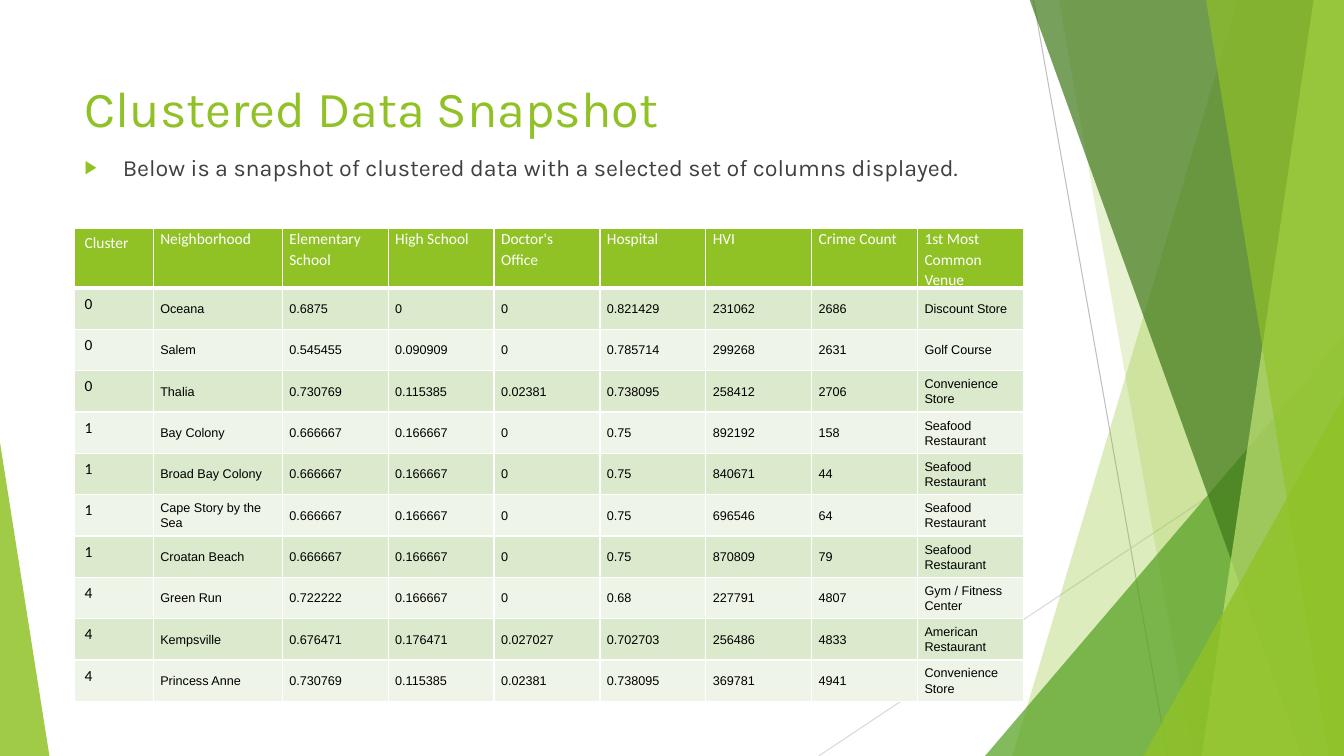
from dataclasses import dataclass

from lxml import etree
from pptx import Presentation
from pptx import util as u
from pptx.dml.color import RGBColor
from pptx.enum import shapes, text
from pptx.oxml import ns


@dataclass(frozen=True)
class Theme:
    green: str = "90C226"
    mid_green: str = "54A021"
    dark_green: str = "3F7819"
    pale_green: str = "C0E474"
    white: str = "FFFFFF"
    black: str = "000000"
    body_grey: str = "404040"
    line_grey: str = "BFBFBF"
    light_line: str = "D9D9D9"
    bands: tuple = ("DBE9CD", "EEF4E8")
    heading_font: str = "Karla"
    label_font: str = "Calibri"
    data_font: str = "Arial"
    title_size: float = 36
    body_size: float = 16.6
    label_size: float = 11
    data_size: float = 9


HEADERS = ["Cluster", "Neighborhood", "Elementary School", "High School", "Doctor's Office",
           "Hospital", "HVI", "Crime Count", "1st Most Common Venue"]
ROWS = [
    ["0", "Oceana", "0.6875", "0", "0", "0.821429", "231062", "2686", "Discount Store"],
    ["0", "Salem", "0.545455", "0.090909", "0", "0.785714", "299268", "2631", "Golf Course"],
    ["0", "Thalia", "0.730769", "0.115385", "0.02381", "0.738095", "258412", "2706",
     "Convenience Store"],
    ["1", "Bay Colony", "0.666667", "0.166667", "0", "0.75", "892192", "158",
     "Seafood Restaurant"],
    ["1", "Broad Bay Colony", "0.666667", "0.166667", "0", "0.75", "840671", "44",
     "Seafood Restaurant"],
    ["1", "Cape Story by the Sea", "0.666667", "0.166667", "0", "0.75", "696546", "64",
     "Seafood Restaurant"],
    ["1", "Croatan Beach", "0.666667", "0.166667", "0", "0.75", "870809", "79",
     "Seafood Restaurant"],
    ["4", "Green Run", "0.722222", "0.166667", "0", "0.68", "227791", "4807",
     "Gym / Fitness Center"],
    ["4", "Kempsville", "0.676471", "0.176471", "0.027027", "0.702703", "256486", "4833",
     "American Restaurant"],
    ["4", "Princess Anne", "0.730769", "0.115385", "0.02381", "0.738095", "369781", "4941",
     "Convenience Store"],
]
COLUMN_WIDTHS = [0.78, 1.28] + [1.05] * 7
HEADER_HEIGHT, ROW_HEIGHT = 0.48, 0.41
LEFT, CONTENT_WIDTH = 0.74, 9.4
WIDTH, HEIGHT, FACET_TOP = 13.33, 7.5, -0.01


def add_xml(parent, tag, **attributes):
    return etree.SubElement(parent, ns.qn(tag), attributes)


def write(para, content, *, font, size, color, line_spacing=None):
    span = para.add_run()
    span.text = content
    span.font.name = font
    span.font.size = u.Pt(size)
    span.font.bold = False
    span.font.color.rgb = RGBColor.from_string(color)
    if line_spacing:
        para.line_spacing = line_spacing


class SlideBuilder:
    def __init__(self, page, theme):
        self.page, self.theme = page, theme

    def line(self, start, end, color):
        ends = [u.Inches(value) for value in (*start, *end)]
        connector = self.page.shapes.add_connector(shapes.MSO_CONNECTOR.STRAIGHT, *ends)
        connector.line.color.rgb = RGBColor.from_string(color)
        connector.line.width = u.Pt(0.75)
        add_xml(connector._element.spPr, "a:effectLst")

    def paint(self, shape, color, opacity):
        """Give a borderless fill with opacity in percent."""
        shape.shadow.inherit = False
        shape.line.fill.background()
        shape.fill.solid()
        shape.fill.fore_color.rgb = RGBColor.from_string(color)
        swatch = shape._element.spPr.find(".//" + ns.qn("a:srgbClr"))
        add_xml(swatch, "a:alpha", val=str(opacity * 1000))

    def facet(self, top_left, bottom_left, color, opacity):
        """Fill from a slanted left edge to the right side of the slide."""
        corners = [(top_left, FACET_TOP), (WIDTH, FACET_TOP), (WIDTH, HEIGHT),
                   (bottom_left, HEIGHT)]
        points = [(u.Inches(x), u.Inches(y)) for x, y in corners]
        builder = self.page.shapes.build_freeform(*points[0])
        builder.add_line_segments(points[1:], close=True)
        self.paint(builder.convert_to_shape(), color, opacity)

    def triangle(self, left, top, width, apex, color, opacity):
        """Stand a triangle on the slide's bottom edge, apex from 0 (left) to 1 (right)."""
        shape = self.page.shapes.add_shape(
            shapes.MSO_SHAPE.ISOSCELES_TRIANGLE, u.Inches(left), u.Inches(top),
            u.Inches(width), u.Inches(HEIGHT - top))
        shape.adjustments[0] = apex
        self.paint(shape, color, opacity)

    def text_box(self, content, top, height, anchor, **style):
        box = self.page.shapes.add_textbox(
            u.Inches(LEFT), u.Inches(top), u.Inches(CONTENT_WIDTH), u.Inches(height))
        frame = box.text_frame
        frame.word_wrap = True
        frame.vertical_anchor = anchor
        para = frame.paragraphs[0]
        write(para, content, font=self.theme.heading_font, **style)
        return para

    def bullet(self, para):
        para.space_before = u.Pt(10)
        props = para._p.get_or_add_pPr()
        props.set("marL", str(u.Inches(0.38)))
        props.set("indent", str(-u.Inches(0.38)))
        add_xml(add_xml(props, "a:buClr"), "a:srgbClr", val=self.theme.green)
        add_xml(props, "a:buSzPct", val="80000")
        add_xml(props, "a:buFont", typeface=self.theme.data_font)
        add_xml(props, "a:buChar", char="▶")

    def borders(self, cell, is_header):
        widths = {"L": 1, "R": 1}
        if is_header:
            widths["T"] = 1
        widths["B"] = 3 if is_header else 1
        props = cell._tc.get_or_add_tcPr()
        for side, width in widths.items():
            edge = add_xml(props, f"a:ln{side}", w=str(u.Pt(width)))
            add_xml(add_xml(edge, "a:solidFill"), "a:srgbClr", val=self.theme.white)

    def cell(self, cell, content, row, column):
        theme, is_header = self.theme, row == 0
        self.borders(cell, is_header)
        fill = theme.green if is_header else theme.bands[(row - 1) % 2]
        cell.fill.solid()
        cell.fill.fore_color.rgb = RGBColor.from_string(fill)
        if column:
            cell.margin_left = cell.margin_right = u.Inches(0.07)
            cell.margin_top = cell.margin_bottom = 0
            if not is_header or column == len(HEADERS) - 1:
                cell.vertical_anchor = text.MSO_ANCHOR.MIDDLE
        is_label = is_header or column == 0
        write(cell.text_frame.paragraphs[0], content,
              font=theme.label_font if is_label else theme.data_font,
              size=theme.label_size if is_label else theme.data_size,
              color=theme.white if is_header else theme.black,
              line_spacing=1.07 if row or column else None)

    def table(self, top, height):
        records = [HEADERS, *ROWS]
        frame = self.page.shapes.add_table(
            len(records), len(HEADERS), u.Inches(LEFT), u.Inches(top),
            u.Inches(CONTENT_WIDTH), u.Inches(height))
        table = frame.table
        table.horz_banding = False
        for column, width in zip(table.columns, COLUMN_WIDTHS):
            column.width = u.Inches(width)
        for r, record in enumerate(records):
            table.rows[r].height = u.Inches(ROW_HEIGHT if r else HEADER_HEIGHT)
            for c, content in enumerate(record):
                self.cell(table.cell(r, c), content, r, c)


def main():
    theme = Theme()
    deck = Presentation()
    deck.slide_width, deck.slide_height = u.Inches(WIDTH), u.Inches(HEIGHT)
    page = SlideBuilder(deck.slides.add_slide(deck.slide_layouts[6]), theme)

    page.line((10.25, 0), (11.58, HEIGHT), theme.line_grey)
    page.line((WIDTH, 4.03), (8.12, HEIGHT), theme.light_line)
    page.facet(12.28, 10.04, theme.green, 30)
    page.facet(10.5, 11.83, theme.green, 20)
    page.triangle(9.77, 3.33, 3.56, 1, theme.mid_green, 72)
    page.facet(10.21, 12.91, theme.dark_green, 70)
    page.facet(13.03, 11.92, theme.pale_green, 70)
    page.facet(11.96, 13.18, theme.green, 65)
    page.triangle(11.34, 3.93, 1.99, 1, theme.green, 80)
    page.triangle(0, 4.39, 0.49, 0, theme.green, 85)

    page.text_box("Clustered Data Snapshot", 0.67, 0.8, text.MSO_ANCHOR.MIDDLE,
                  size=theme.title_size, color=theme.green)
    page.table(2.27, 4.67)
    summary = page.text_box(
        "Below is a snapshot of clustered data with a selected set of columns displayed.",
        1.47, 0.6, text.MSO_ANCHOR.TOP, size=theme.body_size, color=theme.body_grey)
    page.bullet(summary)
    deck.save("out.pptx")


if __name__ == "__main__":
    main()
